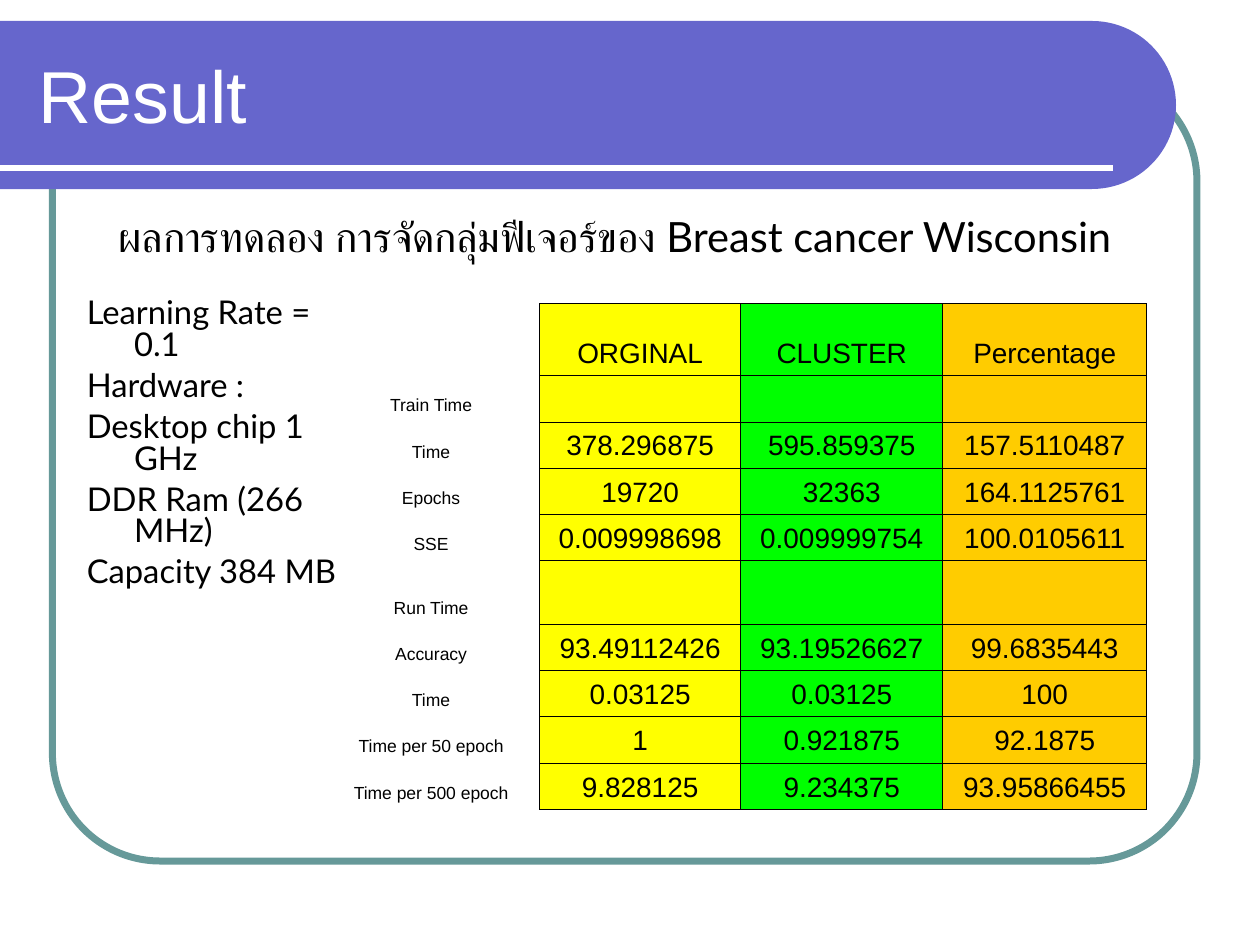
import math

from lxml import etree
from pptx import Presentation
from pptx import util as u
from pptx.dml.color import RGBColor
from pptx.enum import shapes, text
from pptx.oxml import ns

INK = {"frame": "669999", "band": "6666CC", "white": "FFFFFF", "black": "000000",
       "yellow": "FFFF00", "green": "00FF00", "gold": "FFCC00"}
FILLS = [None, "yellow", "green", "gold"]
WIDTHS = [124, 115, 115.5, 116.5]
ROWS = [
    ("", "ORGINAL", "CLUSTER", "Percentage"),
    ("Train Time", "", "", ""),
    ("Time", "378.296875", "595.859375", "157.5110487"),
    ("Epochs", "19720", "32363", "164.1125761"),
    ("SSE", "0.009998698", "0.009999754", "100.0105611"),
    ("Run Time", "", "", ""),
    ("Accuracy", "93.49112426", "93.19526627", "99.6835443"),
    ("Time", "0.03125", "0.03125", "100"),
    ("Time per 50 epoch", "1", "0.921875", "92.1875"),
    ("Time per 500 epoch", "9.828125", "9.234375", "93.95866455"),
]
HEIGHTS = {0: 41.2, 5: 36.4}
NOTES = ["Learning Rate = 0.1", "Hardware :", "Desktop chip 1 GHz",
         "DDR Ram (266 MHz)", "Capacity 384 MB"]
PLAIN = "{2D5ABB26-0587-4C30-8999-92F81FD0307C}"


def tint(name):
    """Return the named colour."""
    return RGBColor.from_string(INK[name])


def child(parent, tag, **attrs):
    """Add a drawing element to a parent."""
    return etree.SubElement(parent, ns.qn(f"a:{tag}"), attrs)


def write(para, words, size=16, font="Arial", color="black", align=None,
          hang=0, lead=None, before=None):
    """Add a run of text to a paragraph and format both."""
    if align is not None:
        para.alignment = align
    if hang:
        props = para._p.get_or_add_pPr()
        props.set("marL", str(u.Pt(hang)))
        props.set("indent", str(-u.Pt(hang)))
    if lead:
        para.line_spacing = lead
    if before:
        para.space_before = u.Pt(before)
    if not words:
        child(para._p, "endParaRPr", sz=str(size * 100))
        return
    run = para.add_run()
    run.text = words
    run.font.size = u.Pt(size)
    run.font.name = font
    run.font.color.rgb = tint(color)


def box(slide, left, top, width, height, anchor=text.MSO_ANCHOR.TOP):
    """Add a wrapping text box and return its frame."""
    frame = slide.shapes.add_textbox(*map(u.Pt, (left, top, width, height))).text_frame
    frame.word_wrap = True
    frame.vertical_anchor = anchor
    return frame


def border(slide):
    """Draw the rounded outline behind the content."""
    shape = slide.shapes.add_shape(shapes.MSO_SHAPE.ROUNDED_RECTANGLE,
                                   *map(u.Pt, (30, 42, 654, 450)))
    shape.adjustments[0] = 0.137
    shape.shadow.inherit = False
    shape.fill.background()
    shape.line.color.rgb = tint("frame")
    shape.line.width = u.Pt(4)


def band(slide):
    """Draw the title band with its round right end."""
    mid, axis, radius, steps = 624, 60, 48, 48
    turns = [math.pi * (i / steps - 0.5) for i in range(steps + 1)]
    curve = [(u.Pt(mid + radius * math.cos(a)), u.Pt(axis + radius * math.sin(a)))
             for a in turns]
    pen = slide.shapes.build_freeform(0, u.Pt(axis - radius))
    pen.add_line_segments(curve + [(0, u.Pt(axis + radius))], close=True)
    shape = pen.convert_to_shape()
    shape.shadow.inherit = False
    shape.fill.solid()
    shape.fill.fore_color.rgb = tint("band")
    shape.line.fill.background()


def rule(slide):
    """Draw the white line in the band."""
    line = slide.shapes.add_connector(shapes.MSO_CONNECTOR.STRAIGHT,
                                      *map(u.Pt, (0, 96, 636, 96)))
    line.line.color.rgb = tint("white")
    line.line.width = u.Pt(3)
    child(line._element.spPr, "effectLst")


def edge(cell, sides):
    """Give a cell thin black borders on the given sides."""
    props = cell._tc.get_or_add_tcPr()
    for side in sides:
        line = child(props, f"ln{side}", w=str(u.Pt(0.45)))
        child(child(line, "solidFill"), "srgbClr", val=INK["black"])


def grid(slide):
    """Build the table of results."""
    tall = [HEIGHTS.get(i, 26.4) for i in range(len(ROWS))]
    frame = slide.shapes.add_table(len(ROWS), len(WIDTHS), u.Pt(184.3), u.Pt(173.5),
                                   u.Pt(sum(WIDTHS)), u.Pt(sum(tall)))
    table = frame.table
    table.first_row = table.horz_banding = False
    table._tbl.tblPr.find(ns.qn("a:tableStyleId")).text = PLAIN
    for col, width in zip(table.columns, WIDTHS):
        col.width = u.Pt(width)
    for r, (row, height) in enumerate(zip(ROWS, tall)):
        table.rows[r].height = u.Pt(height)
        for c, words in enumerate(row):
            cell = table.cell(r, c)
            cell.vertical_anchor = text.MSO_ANCHOR.BOTTOM
            edge(cell, "LRTB" if c else "R")
            if FILLS[c]:
                cell.fill.solid()
                cell.fill.fore_color.rgb = tint(FILLS[c])
            else:
                cell.fill.background()
            write(cell.text_frame.paragraphs[0], words, size=16 if c and words else 10,
                  align=text.PP_ALIGN.CENTER)


def main():
    """Build the slide and save it."""
    deck = Presentation()
    deck.slide_width, deck.slide_height = u.Pt(720), u.Pt(540)
    slide = deck.slides.add_slide(deck.slide_layouts[6])
    border(slide)
    band(slide)
    rule(slide)
    title = box(slide, 15, 18, 631.5, 72, text.MSO_ANCHOR.MIDDLE)
    write(title.paragraphs[0], "Result", size=42, color="white")
    head = box(slide, 42.5, 122.4, 617.8, 39.6).paragraphs[0]
    write(head, "ผลการทดลอง การจัดกลุ่มฟีเจอร์ของ ", size=23.8,
          align=text.PP_ALIGN.CENTER, hang=27, lead=0.8)
    write(head, "Breast cancer Wisconsin", size=23.8, font="Lato")
    notes = box(slide, 42.5, 167.8, 164.2, 175.7)
    for i, words in enumerate(NOTES):
        para = notes.add_paragraph() if i else notes.paragraphs[0]
        write(para, words, size=18.7, font="Lato", hang=27, lead=0.8,
              before=5.5 if i else None)
    grid(slide)
    deck.save("out.pptx")


if __name__ == "__main__":
    main()
